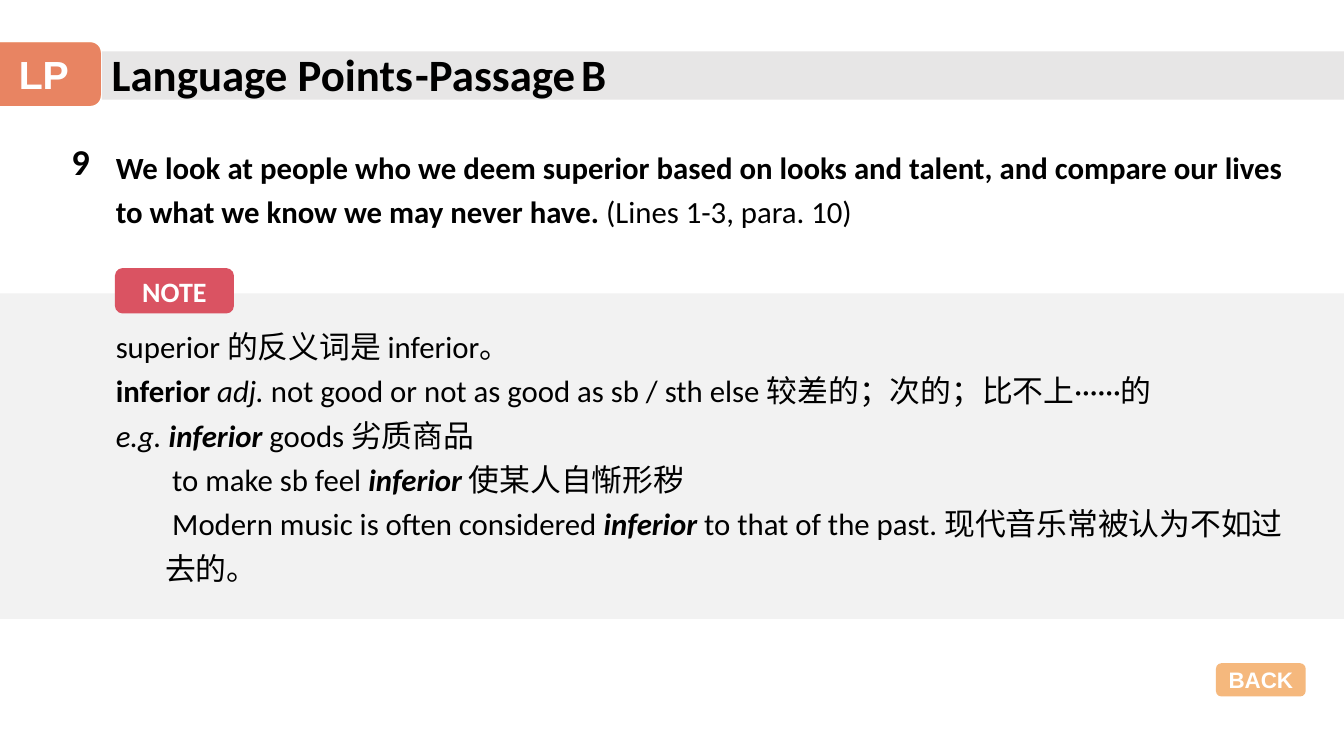
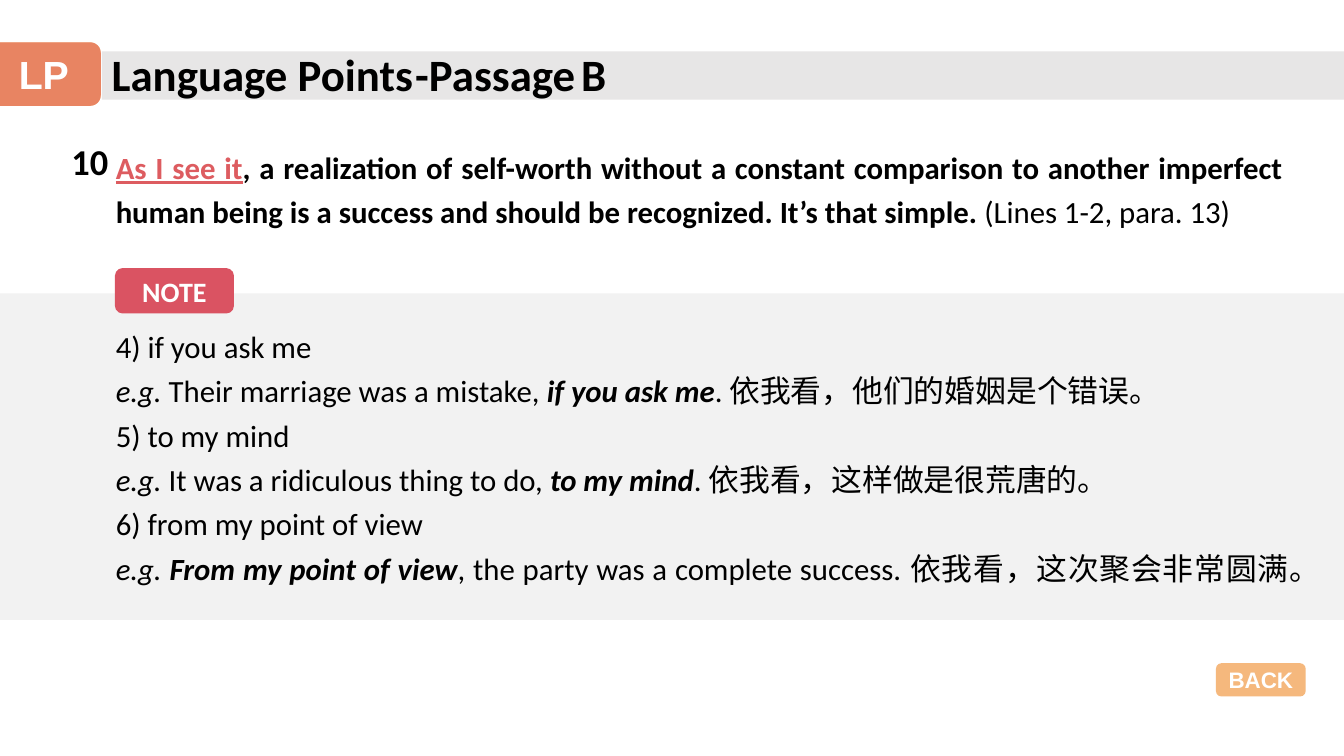
from lxml import etree
from pptx import Presentation
from pptx.dml.color import RGBColor
from pptx.enum.shapes import MSO_SHAPE as SHAPE
from pptx.enum.text import MSO_ANCHOR as ANCHOR, MSO_AUTO_SIZE as FIT, PP_ALIGN as ALIGN
from pptx.oxml.ns import qn
from pptx.util import Pt

BLACK = RGBColor(0x00, 0x00, 0x00)
WHITE = RGBColor(0xFF, 0xFF, 0xFF)
CORAL = RGBColor(0xE4, 0x70, 0x57)
ORANGE = RGBColor(0xF1, 0x9B, 0x48)
ROSE = RGBColor(0xDA, 0x53, 0x62)
LINK_RED = RGBColor(0xDD, 0x5C, 0x60)
TITLE_GREY = RGBColor(0xE7, 0xE6, 0xE6)
NOTE_GREY = RGBColor(0xF2, 0xF2, 0xF2)

PX = 9144  # 100 px to the inch
SLIDE_W, SLIDE_H = 1333, 750
HANGING = 49  # left margin of the further examples
FIRST_LINE = 7

# A run is (text, style): b bold, i italic, u underlined in red.
# A note line is (left margin, runs).
POINTS = [
    dict(
        number="9", band_h=323, note_w=1177,
        sentence=[("We look at people who we deem superior based on looks and talent, "
                   "and compare our lives to what we know we may never have. ", "b"),
                  ("(Lines 1-3, para. 10)", "")],
        note=[
            (0, [("superior 的反义词是 inferior。", "")]),
            (0, [("inferior ", "b"), ("adj.", "i"),
                 (" not good or not as good as sb / sth else 较差的；次的；比不上······的", "")]),
            (0, [("e.g. ", "i"), ("inferior", "bi"), (" goods 劣质商品", "")]),
            (HANGING, [("to make sb feel ", ""), ("inferior ", "bi"), ("使某人自惭形秽", "")]),
            (HANGING, [("Modern music is often considered ", ""), ("inferior", "bi"),
                       (" to that of the past. 现代音乐常被认为不如过去的。", "")]),
        ]),
    dict(
        number="10", band_h=324, note_w=1184,
        sentence=[("As I see it", "bu"),
                  (", a realization of self-worth without a constant comparison to another "
                   "imperfect human being is a success and should be recognized. "
                   "It’s that simple. ", "b"),
                  ("(Lines 1-2, para. 13)", "")],
        note=[
            (0, [("4) if you ask me", "")]),
            (0, [("e.g.", "i"), (" Their marriage was a mistake, ", ""),
                 ("if you ask me", "bi"), (". 依我看，他们的婚姻是个错误。", "")]),
            (0, [("5) to my mind", "")]),
            (0, [("e.g.", "i"), (" It was a ridiculous thing to do, ", ""),
                 ("to my mind", "bi"), (". 依我看，这样做是很荒唐的。", "")]),
            (0, [("6) from my point of view", "")]),
            (0, [("e.g. ", "i"), ("From my point of view", "bi"),
                 (", the party was a complete success. 依我看，这次聚会非常圆满。", "")]),
        ]),
]


def emu(box):
    return [v * PX for v in box]


def add_run(p, text, size=22, font="Calibri", color=BLACK, style=""):
    r = p.add_run()
    r.text = text
    r.font.name, r.font.size = font, Pt(size)
    r.font.bold, r.font.italic = "b" in style, "i" in style
    r.font.underline = "u" in style
    r.font.color.rgb = LINK_RED if "u" in style else color


def add_block(s, box, fill, kind=SHAPE.RECTANGLE, alpha=100):
    sp = s.shapes.add_shape(kind, *emu(box))
    sp.shadow.inherit = False
    sp.line.fill.background()
    sp.fill.solid()
    sp.fill.fore_color.rgb = fill
    if alpha < 100:
        color = sp.fill._xPr.find(".//" + qn("a:srgbClr"))
        etree.SubElement(color, qn("a:alpha"), val=str(alpha * 1000))
    return sp


def add_label(s, box, text, fill, size, font="Arial", alpha=71):
    """Rounded block with centred bold white text."""
    tf = add_block(s, box, fill, SHAPE.ROUNDED_RECTANGLE, alpha).text_frame
    tf.vertical_anchor = ANCHOR.MIDDLE
    p = tf.paragraphs[0]
    p.alignment = ALIGN.CENTER
    add_run(p, text, size, font, WHITE, "b")


def add_textbox(s, box):
    tf = s.shapes.add_textbox(*emu(box)).text_frame
    tf.word_wrap = True
    tf.auto_size = FIT.SHAPE_TO_FIT_TEXT
    return tf


def add_heading(s, box, *runs):
    """One line of bold text; each run is (text, size)."""
    p = add_textbox(s, box).paragraphs[0]
    for text, size in runs:
        add_run(p, text, size, style="b")


def add_body(s, box, lines):
    """Justified paragraphs; each line is (left margin, runs)."""
    tf = add_textbox(s, box)
    for n, (margin, runs) in enumerate(lines):
        p = tf.add_paragraph() if n else tf.paragraphs[0]
        p.alignment, p.line_spacing = ALIGN.JUSTIFY, 1.2
        if margin:
            pPr = p._p.get_or_add_pPr()
            pPr.set("marL", str(margin * PX))
            pPr.set("indent", str(FIRST_LINE * PX))
        for text, style in runs:
            add_run(p, text, style=style)


def add_frame(s):
    """Title band, section tab and back button."""
    add_block(s, (101, 51, SLIDE_W - 101, 48), TITLE_GREY)
    add_heading(s, (101, 41, 485, 64), ("Language Points", 32))
    add_heading(s, (402, 41, 247, 64), ("-Passage", 32), (" ", 18), ("B", 32))
    for fill in (ORANGE, CORAL):  # the translucent layers blend
        add_label(s, (-13, 42, 113, 63), "LP", fill, 28)
    add_label(s, (1206, 658, 89, 33), "BACK", ORANGE, 16)


def add_point(s, number, sentence, note, band_h, note_w):
    add_heading(s, (61, 133, 63, 54), (number, 26))
    add_body(s, (105, 135, 1177, 96), [(0, sentence)])
    add_block(s, (0, 291, SLIDE_W, band_h), NOTE_GREY)
    add_body(s, (105, 313, note_w, 277), note)
    add_label(s, (114, 266, 118, 45), "NOTE", ROSE, 20, "Calibri", 100)


def main():
    prs = Presentation()
    prs.slide_width, prs.slide_height = emu((SLIDE_W, SLIDE_H))
    for point in POINTS:
        s = prs.slides.add_slide(prs.slide_layouts[6])
        add_frame(s)
        add_point(s, **point)
    prs.save("out.pptx")


if __name__ == "__main__":
    main()
